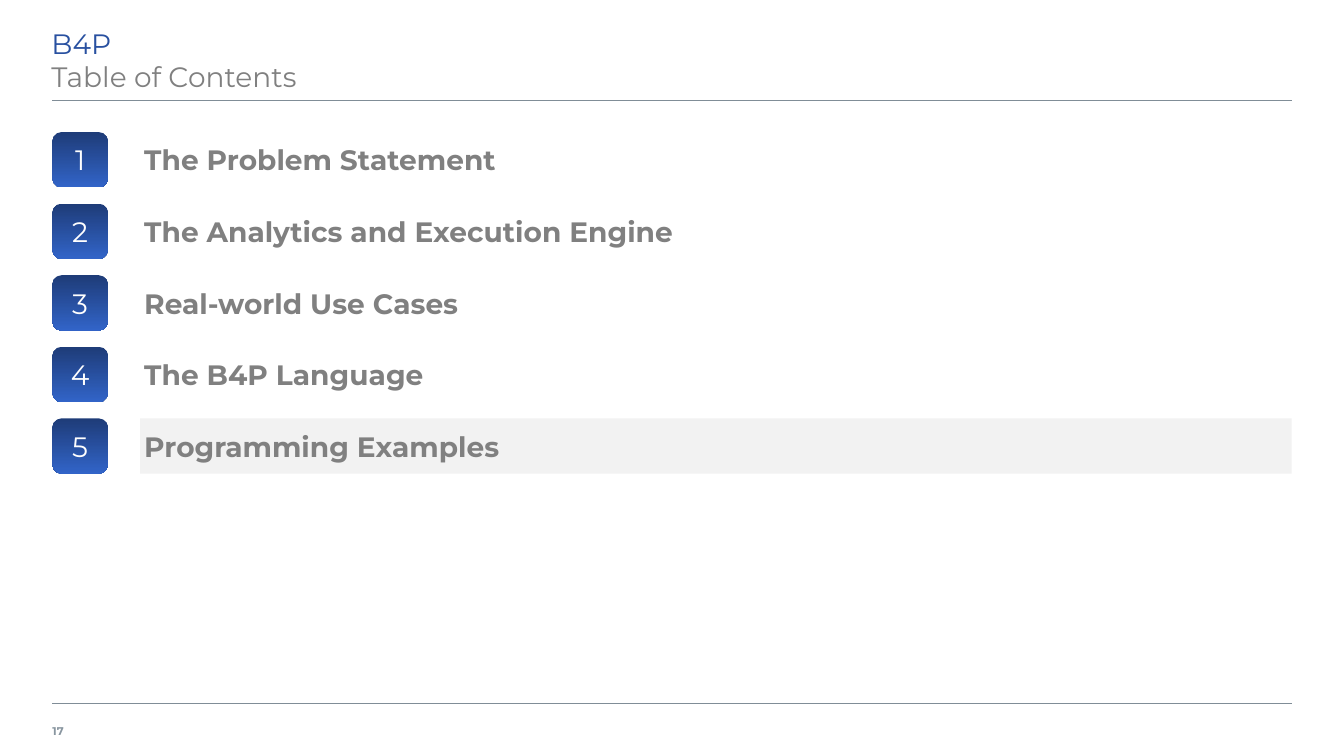
from lxml import etree
from pptx import Presentation
from pptx.dml.color import RGBColor
from pptx.enum.shapes import MSO_CONNECTOR, MSO_SHAPE
from pptx.enum.text import MSO_ANCHOR as Anchor, MSO_AUTO_SIZE, PP_ALIGN as Align
from pptx.oxml.ns import qn
from pptx.util import Emu, Pt

BLUE = RGBColor(0x28, 0x50, 0xA0)
DARK_BLUE = RGBColor(0x1E, 0x3C, 0x78)
BRIGHT_BLUE = RGBColor(0x32, 0x64, 0xC8)
GRAY = RGBColor(0x80, 0x80, 0x80)
RULE_GRAY = RGBColor(0x80, 0x8D, 0x97)
NUMBER_GRAY = RGBColor(0x89, 0x96, 0xA0)
HIGHLIGHT = RGBColor(0xF2, 0xF2, 0xF2)
WHITE = RGBColor(0xFF, 0xFF, 0xFF)

FONT = "Montserrat"
LEFT, RIGHT = 52, 1281
TILE = 55
ENTRY_LEFT = 139
FIRST_ROW, ROW_PITCH = 131, 71


def px(length):
    """100 px make an inch."""
    return Emu(length * 9144)


def write(shape, lines, *, colors, size=20, bold=False, align=Align.LEFT,
          anchor=Anchor.MIDDLE, insets=(4, 4, 4, 4)):
    frame = shape.text_frame
    frame.word_wrap = True
    frame.auto_size = MSO_AUTO_SIZE.NONE
    frame.vertical_anchor = anchor
    (frame.margin_left, frame.margin_top,
     frame.margin_right, frame.margin_bottom) = map(px, insets)
    para = frame.paragraphs[0]
    para.alignment = align
    for index, (line, color) in enumerate(zip(lines, colors)):
        if index:
            para.add_line_break()
        span = para.add_run()
        span.text = line
        span.font.name = FONT
        span.font.size = Pt(size)
        span.font.bold = bold
        span.font.color.rgb = color


deck = Presentation()
deck.slide_width, deck.slide_height = px(1333), px(750)
page = deck.slides.add_slide(deck.slide_layouts[5])
shapes = page.shapes

# Rules under the title and above the footer
for y in (698, 100):
    rule = shapes.add_connector(MSO_CONNECTOR.STRAIGHT, px(LEFT), px(y), px(RIGHT), px(y))
    rule.line.color.rgb = RULE_GRAY
    rule.line.width = Pt(1)
    etree.SubElement(rule.line._get_or_add_ln().getparent(), qn("a:effectLst"))

# Page number
number = shapes.add_textbox(px(LEFT), px(706), px(47), px(39))
write(number, ["17"], colors=[NUMBER_GRAY], size=8, bold=True, insets=(0, 5, 8, 5))

# Title
title = shapes.title
title.left, title.top, title.width, title.height = px(51), px(21), px(1228), px(79)
write(title, ["B4P", "Table of Contents"], colors=[BLUE, GRAY],
      anchor=Anchor.TOP, insets=(0, 5, 10, 5))

# Contents: a numbered tile and an entry in each row
entries = [
    "The Problem Statement",
    "The Analytics and Execution Engine",
    "Real-world Use Cases",
    "The B4P Language",
    "Programming Examples",
]
current = "Programming Examples"
for row, entry in enumerate(entries):
    top = FIRST_ROW + row * ROW_PITCH
    area = px(ENTRY_LEFT), px(top), px(RIGHT - ENTRY_LEFT), px(TILE)
    if entry == current:
        box = shapes.add_shape(MSO_SHAPE.RECTANGLE, *area)
        box.shadow.inherit = False
        box.fill.solid()
        box.fill.fore_color.rgb = HIGHLIGHT
        box.line.fill.background()
    else:
        box = shapes.add_textbox(*area)
    write(box, [entry], colors=[GRAY], bold=True)

    tile = shapes.add_shape(MSO_SHAPE.ROUNDED_RECTANGLE, px(LEFT), px(top), px(TILE), px(TILE))
    tile.shadow.inherit = False
    tile.line.fill.background()
    tile.fill.gradient()
    tile.fill.gradient_angle = 270
    for stop, color in zip(tile.fill.gradient_stops, (DARK_BLUE, BRIGHT_BLUE)):
        stop.color.rgb = color
    write(tile, [str(row + 1)], colors=[WHITE], align=Align.CENTER)

deck.save("out.pptx")
